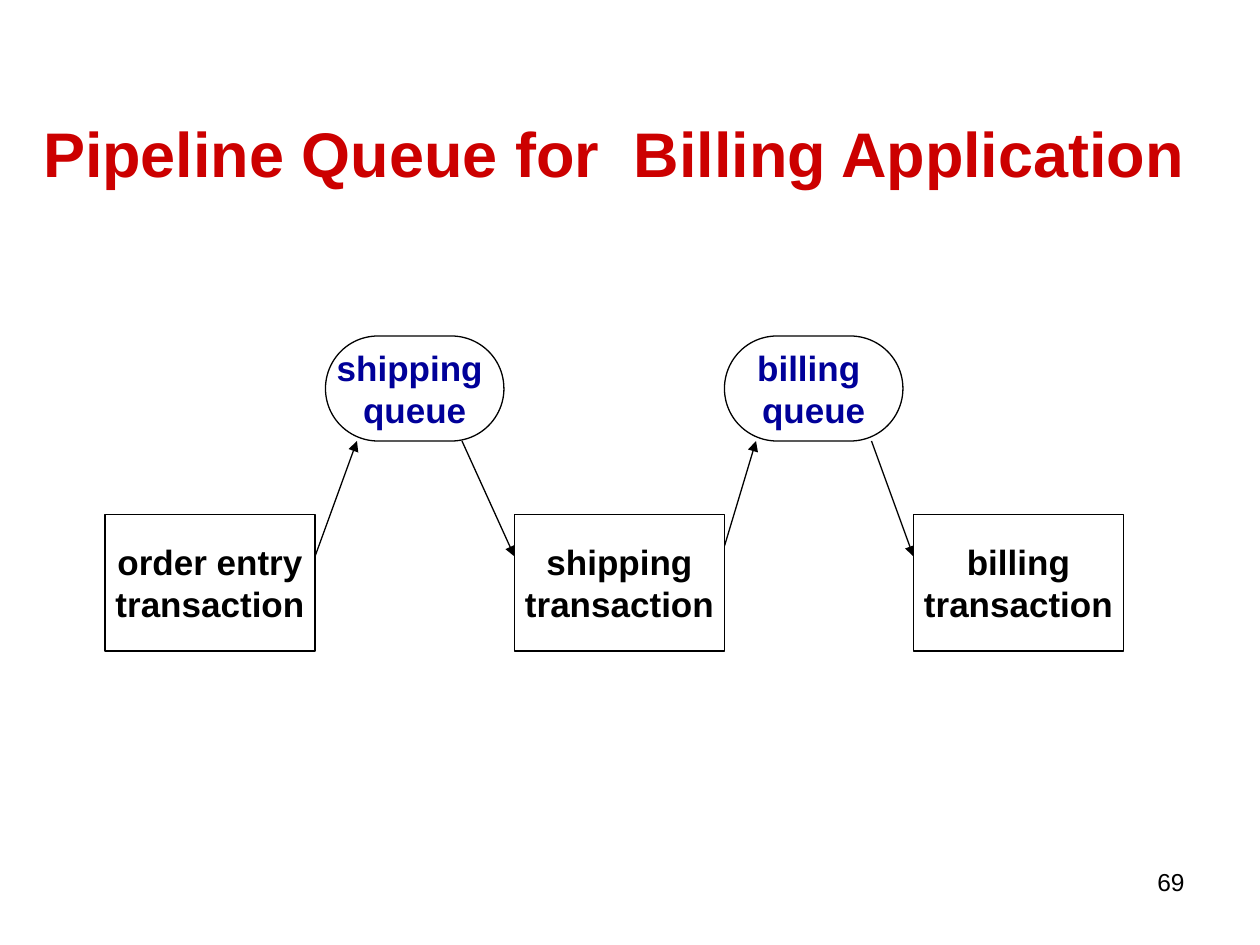
"""Build the slide showing a billing application as a pipeline of queues."""
from lxml import etree
from pptx import Presentation
from pptx.dml.color import RGBColor
from pptx.enum.shapes import MSO_CONNECTOR as CONNECTOR, MSO_SHAPE as SHAPE
from pptx.enum.text import MSO_ANCHOR as ANCHOR, MSO_AUTO_SIZE as AUTO_SIZE, PP_ALIGN as ALIGN
from pptx.oxml.ns import qn
from pptx.util import Pt

COLOURS = {"title": "CC0000", "queue": "000099", "ink": "000000", "paper": "FFFFFF"}


def colour(name):
    return RGBColor.from_string(COLOURS[name])


def write(frame, text, size, ink, bold=True, align=ALIGN.CENTER, anchor=ANCHOR.MIDDLE, wrap=True):
    frame.text = text
    frame.auto_size = AUTO_SIZE.NONE
    frame.word_wrap = wrap
    frame.vertical_anchor = anchor
    for paragraph in frame.paragraphs:
        paragraph.alignment = align
        paragraph.font.name = "Arial"
        paragraph.font.size = Pt(size)
        paragraph.font.bold = bold
        paragraph.font.color.rgb = colour(ink)


deck = Presentation()
deck.slide_width, deck.slide_height = Pt(720), Pt(540)
slide = deck.slides.add_slide(deck.slide_layouts[5])

title = slide.shapes.title
title.left, title.top, title.width, title.height = Pt(0), Pt(42), Pt(702), Pt(90)
write(title.text_frame, "Pipeline Queue for  Billing Application", 36, "title")

arrows = [
    (180, 318, 204, 252),
    (264, 252, 294, 318),
    (414, 312, 432, 252),
    (498, 252, 522, 318),
]
for ends in arrows:
    arrow = slide.shapes.add_connector(CONNECTOR.STRAIGHT, *map(Pt, ends))
    arrow.line.color.rgb = colour("ink")
    arrow.line.width = Pt(0.75)
    etree.SubElement(arrow.line._get_or_add_ln(), qn("a:tailEnd"), type="triangle")
    etree.SubElement(arrow._element.spPr, qn("a:effectLst"))

transaction_box = (SHAPE.RECTANGLE, 294, 120, 78, "ink")
queue_box = (SHAPE.ROUNDED_RECTANGLE, 192, 102, 60, "queue")
stages = [
    ("order entry\ntransaction", 60, transaction_box),
    ("shipping\ntransaction", 294, transaction_box),
    ("billing\ntransaction", 522, transaction_box),
    ("shipping \nqueue", 186, queue_box),
    ("billing \nqueue", 414, queue_box),
]
for label, left, (outline, top, width, height, ink) in stages:
    stage = slide.shapes.add_shape(outline, Pt(left), Pt(top), Pt(width), Pt(height))
    if outline == SHAPE.ROUNDED_RECTANGLE:
        stage.adjustments[0] = 0.5
    stage.shadow.inherit = False
    stage.fill.solid()
    stage.fill.fore_color.rgb = colour("paper")
    stage.line.color.rgb = colour("ink")
    stage.line.width = Pt(0.75)
    write(stage.text_frame, label, 20, ink, wrap=False)

page_number = slide.shapes.add_textbox(Pt(516), Pt(492), Pt(168), Pt(37.5))
write(page_number.text_frame, "69", 14, "ink", bold=False, align=ALIGN.RIGHT, anchor=ANCHOR.TOP)

deck.save("out.pptx")
